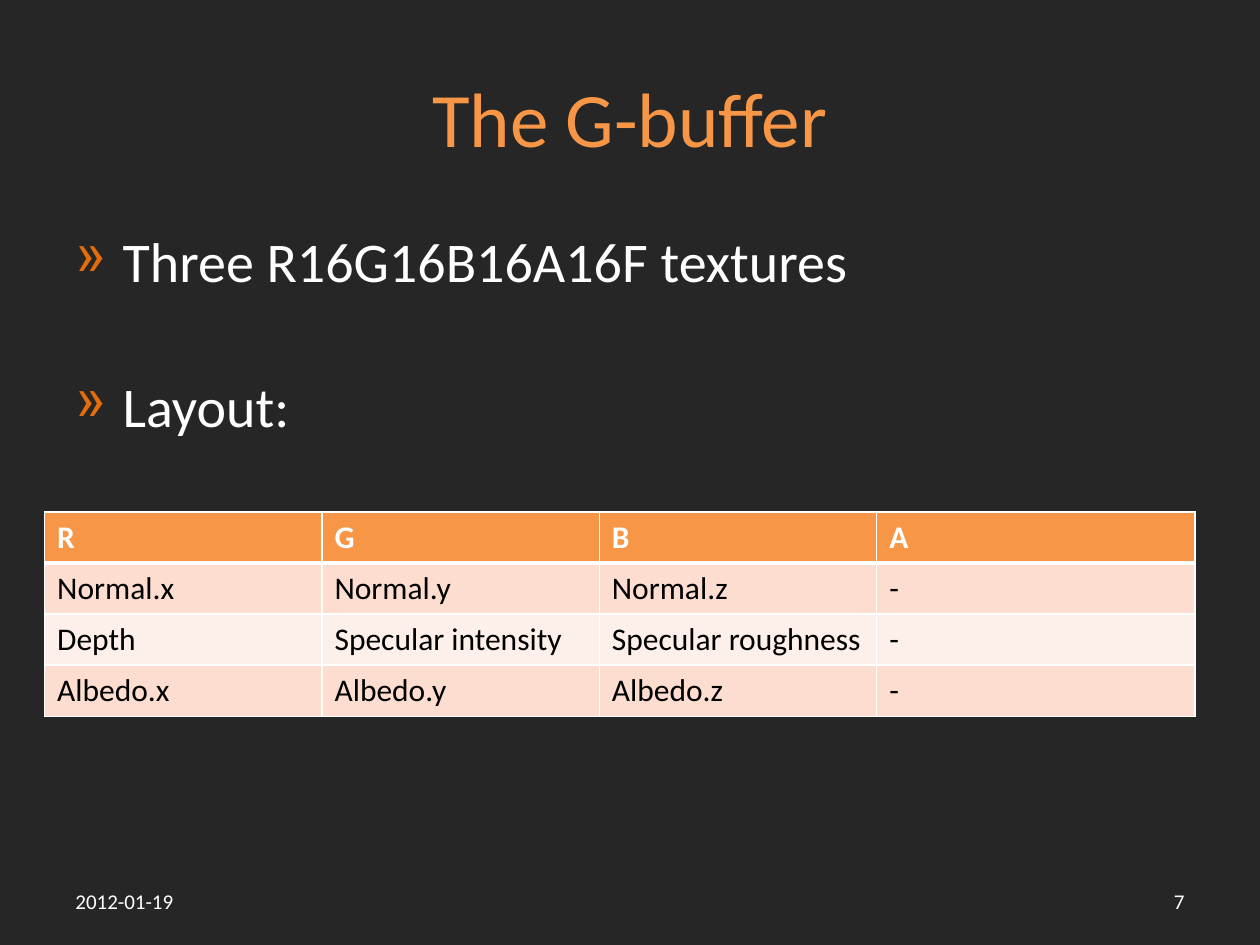
from lxml import etree
from pptx import Presentation
from pptx.dml.color import RGBColor
from pptx.enum import text
from pptx.oxml import ns
from pptx.util import Pt

BACKGROUND = RGBColor(0x26, 0x26, 0x26)
ORANGE = RGBColor(0xF7, 0x96, 0x46)
BULLET = RGBColor(0xE4, 0x6C, 0x0A)
WHITE = RGBColor(0xFF, 0xFF, 0xFF)
BLACK = RGBColor(0, 0, 0)
BAND_DARK = RGBColor(0xFC, 0xDD, 0xCF)
BAND_LIGHT = RGBColor(0xFD, 0xEF, 0xE9)
ALIGN = text.PP_ALIGN
ANCHOR = text.MSO_ANCHOR


def set_font(p, size, color, bold=False):
    p.font.name = "Calibri"
    p.font.size = Pt(size)
    p.font.color.rgb = color
    p.font.bold = bold


def add_text(s, box, lines, size, color, align=ALIGN.LEFT, anchor=ANCHOR.MIDDLE):
    tf = s.shapes.add_textbox(*map(Pt, box)).text_frame
    tf.word_wrap = True
    tf.vertical_anchor = anchor
    tf.text = "\n".join(lines)
    for p in tf.paragraphs:
        p.alignment = align
        set_font(p, size, color)
    return tf


prs = Presentation()
prs.slide_width, prs.slide_height = Pt(720), Pt(540)
s = prs.slides.add_slide(prs.slide_layouts[6])
s.background.fill.solid()
s.background.fill.fore_color.rgb = BACKGROUND

# Title
add_text(s, (36, 21.6, 648, 90), ["The G-buffer"], 44, ORANGE, ALIGN.CENTER)

# Bullets
tf = add_text(s, (36, 126, 648, 132.5), ["Three R16G16B16A16F textures", "Layout:"],
              32, WHITE, anchor=ANCHOR.TOP)
tf.paragraphs[1].space_before = Pt(44.4)
for p in tf.paragraphs:
    pPr = p._p.get_or_add_pPr()
    pPr.set("marL", str(Pt(27)))
    pPr.set("indent", str(-Pt(27)))
    color = etree.Element(ns.qn("a:buClr"))
    etree.SubElement(color, ns.qn("a:srgbClr"), val=str(BULLET))
    char = etree.Element(ns.qn("a:buChar"), char="»")
    at = len(pPr.findall(ns.qn("a:spcBef")))
    pPr.insert(at, color)
    pPr.insert(at + 1, char)

# Date and slide number
add_text(s, (36, 500.5, 168, 28.75), ["2012-01-19"], 12, WHITE)
add_text(s, (516, 500.5, 168, 28.75), ["7"], 12, WHITE, ALIGN.RIGHT)

# Buffer layout table
rows = [
    ("R", "G", "B", "A"),
    ("Normal.x", "Normal.y", "Normal.z", "-"),
    ("Depth", "Specular intensity", "Specular roughness", "-"),
    ("Albedo.x", "Albedo.y", "Albedo.z", "-"),
]
widths = [158.5, 158.5, 158.5, 182]
row_height = 29.2
table = s.shapes.add_table(len(rows), len(widths), Pt(25.5), Pt(292.5),
                           Pt(sum(widths)), Pt(row_height * len(rows))).table
for column, width in zip(table.columns, widths):
    column.width = Pt(width)
for i, row in enumerate(rows):
    table.rows[i].height = Pt(row_height)
    header = i == 0
    fill = ORANGE if header else BAND_DARK if i % 2 else BAND_LIGHT
    for j, label in enumerate(row):
        cell = table.cell(i, j)
        cell.text = label
        set_font(cell.text_frame.paragraphs[0], 18, WHITE if header else BLACK, header)
        # White borders, thick below the header
        tcPr = cell._tc.get_or_add_tcPr()
        for side in "LRTB":
            thick = (i, side) in ((0, "B"), (1, "T"))
            ln = etree.SubElement(tcPr, ns.qn("a:ln" + side), w=str(Pt(3 if thick else 1)))
            solid = etree.SubElement(ln, ns.qn("a:solidFill"))
            etree.SubElement(solid, ns.qn("a:srgbClr"), val=str(WHITE))
        cell.fill.solid()
        cell.fill.fore_color.rgb = fill

prs.save("out.pptx")
